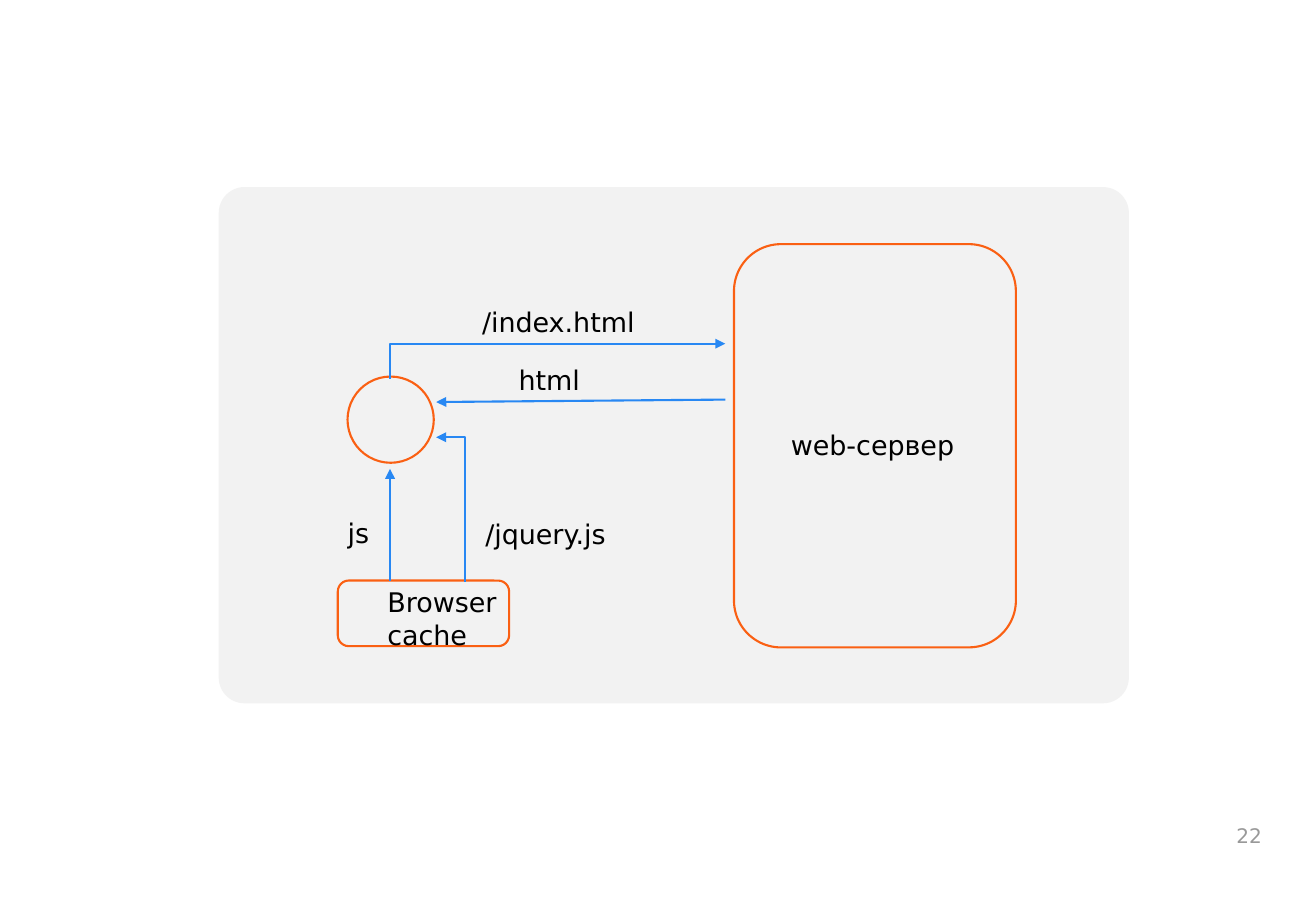
from lxml import etree
from pptx import Presentation
from pptx.dml.color import RGBColor
from pptx.enum.shapes import MSO_CONNECTOR, MSO_SHAPE
from pptx.enum.text import MSO_ANCHOR, PP_ALIGN
from pptx.oxml.ns import qn
from pptx.util import Inches, Pt

ROUNDED = MSO_SHAPE.ROUNDED_RECTANGLE
OVAL = MSO_SHAPE.OVAL
STRAIGHT = MSO_CONNECTOR.STRAIGHT
ELBOW = MSO_CONNECTOR.ELBOW
MIDDLE = MSO_ANCHOR.MIDDLE
LEFT = PP_ALIGN.LEFT
CENTER = PP_ALIGN.CENTER

COLORS = {
    "panel": "F2F2F2",
    "outline": "FA6013",
    "arrow": "2888F3",
    "text": "000000",
    "number": "999999",
}
BLANK_LAYOUT = 6
GRID_STEP = 0.1


class Diagram:
    font = "DejaVu Sans"
    text_size = 16
    line_width = Pt(1.25)

    def __init__(self, page):
        self.page = page

    def cells(self, *counts):
        return [Inches(count * GRID_STEP) for count in counts]

    def color(self, name):
        return RGBColor.from_string(COLORS[name])

    def shape(self, kind, area, fill=None, outline=None, corner=None):
        shape = self.page.shapes.add_shape(kind, *self.cells(*area))
        shape.shadow.inherit = False
        if corner is not None:
            shape.adjustments[0] = corner
        if fill:
            shape.fill.solid()
            shape.fill.fore_color.rgb = self.color(fill)
        else:
            shape.fill.background()
        if outline:
            shape.line.color.rgb = self.color(outline)
            shape.line.width = self.line_width
        else:
            shape.line.fill.background()

    def label(self, text, area, align=CENTER, size=text_size, color="text"):
        box = self.page.shapes.add_textbox(*self.cells(*area))
        frame = box.text_frame
        frame.word_wrap = True
        frame.vertical_anchor = MIDDLE
        para = frame.paragraphs[0]
        para.text = text
        para.alignment = align
        para.font.name = self.font
        para.font.size = Pt(size)
        para.font.color.rgb = self.color(color)

    def arrow(self, kind, start, end):
        arrow = self.page.shapes.add_connector(kind, *self.cells(*start, *end))
        arrow.line.color.rgb = self.color("arrow")
        arrow.line.width = self.line_width
        properties = arrow._element.spPr
        etree.SubElement(properties.find(qn("a:ln")), qn("a:tailEnd"), type="triangle")
        etree.SubElement(properties, qn("a:effectLst"))
        if kind == ELBOW:
            adjustments = properties.find(qn("a:prstGeom")).find(qn("a:avLst"))
            etree.SubElement(adjustments, qn("a:gd"), name="adj1", fmla="val 0")


def main():
    deck = Presentation()
    deck.slide_width = Inches(10.83)
    deck.slide_height = Inches(7.5)
    diagram = Diagram(deck.slides.add_slide(deck.slide_layouts[BLANK_LAYOUT]))

    diagram.shape(ROUNDED, (18, 15.4, 74.9, 42.5), fill="panel", corner=0.05)
    diagram.label("22", (100.2, 66.8, 5.2, 4), size=11.9, color="number")

    diagram.shape(ROUNDED, (60.4, 20.1, 23.2, 33.2), outline="outline")
    diagram.shape(OVAL, (28.6, 31, 7.1, 7.1), outline="outline")
    diagram.shape(ROUNDED, (27.8, 47.8, 14.1, 5.4), outline="outline")

    diagram.arrow(ELBOW, (32.1, 31.2), (59.7, 28.3))
    diagram.arrow(STRAIGHT, (59.7, 32.9), (35.9, 33.1))
    diagram.arrow(STRAIGHT, (32.1, 47.8), (32.1, 38.6))
    diagram.arrow(ELBOW, (38.3, 47.9), (35.9, 36))

    diagram.label("/index.html", (38, 24.6, 15.9, 3.7))
    diagram.label("html", (38, 29.4, 14.4, 3.7))
    diagram.label("js", (27.5, 42.3, 4, 3.1))
    diagram.label("/jquery.js", (37.7, 42.4, 14.4, 3.1))
    diagram.label("web-сервер", (64.1, 34.6, 15.9, 4.1), align=LEFT)
    diagram.label("Browser cache", (30.9, 48.5, 15, 4.8), align=LEFT)

    deck.save("out.pptx")


if __name__ == "__main__":
    main()
